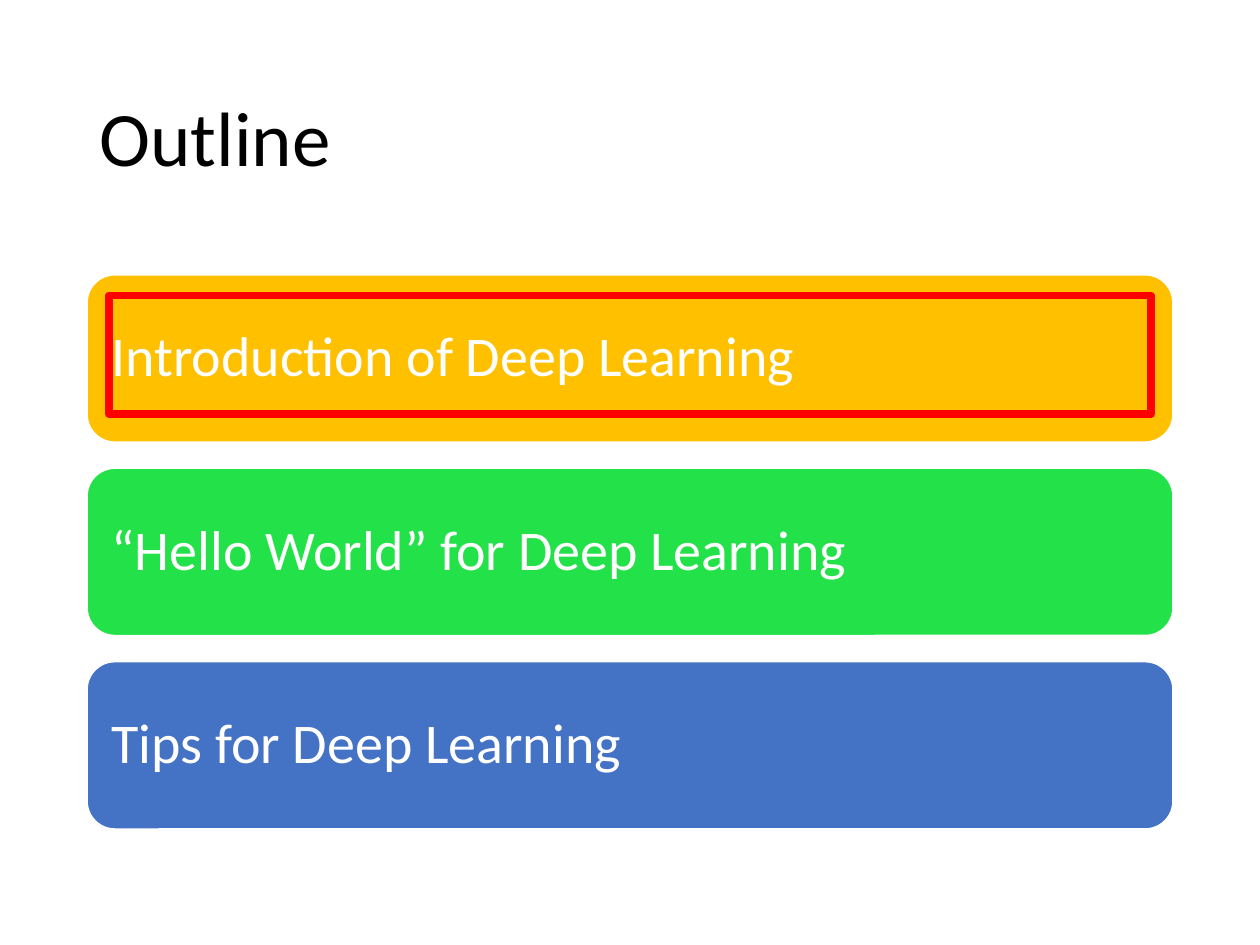
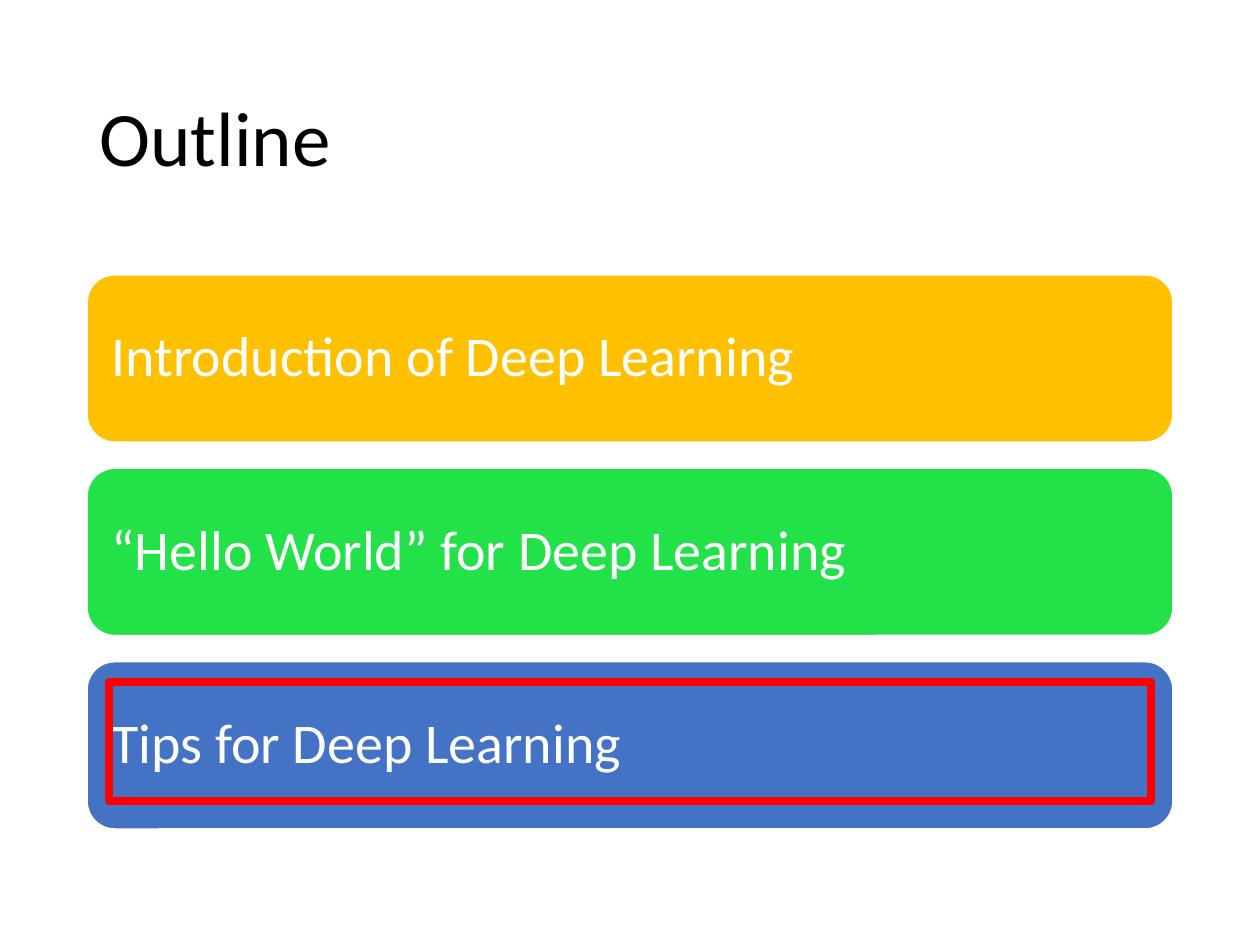
from pptx import Presentation
from pptx.dml.color import RGBColor
from pptx.enum.shapes import MSO_SHAPE
from pptx.enum.text import MSO_ANCHOR, PP_ALIGN
from pptx.util import Inches, Pt

# Shared look
COLOURS = {
    "black": "000000",
    "white": "FFFFFF",
    "amber": "FFC000",
    "green": "23E148",
    "blue": "4472C4",
    "red": "FF0000",
}
FONT = "Calibri"
TOPICS = [
    ("Introduction of Deep Learning", "amber"),
    ("“Hello World” for Deep Learning", "green"),
    ("Tips for Deep Learning", "blue"),
]
HIGHLIGHTED_ROWS = [0, 2]  # one slide for each highlighted topic

deck = Presentation()
deck.slide_width, deck.slide_height = Inches(10), Inches(7.5)

# Grid, in percent of the slide's width and height
LEFT, WIDTH = 6.9, 86.2
TITLE_TOP, TITLE_HEIGHT = 5.33, 19.33
FIRST_ROW, ROW_PITCH, ROW_HEIGHT = 29.07, 20.47, 17.73
FRAME_INSET, FRAME_DROP, FRAME_HEIGHT = 1.75, 2.2, 12.53


def place(left, top, width, height):
    across, down = deck.slide_width / 100, deck.slide_height / 100
    return [round(length) for length in
            (left * across, top * down, width * across, height * down)]


def write(box, text, size, colour, margins):
    frame = box.text_frame
    settings = {"word_wrap": True, "vertical_anchor": MSO_ANCHOR.MIDDLE, **margins}
    for name, value in settings.items():
        setattr(frame, name, value)
    para = frame.paragraphs[0]
    para.alignment, para.line_spacing = PP_ALIGN.LEFT, 0.9
    span = para.add_run()
    span.text = text
    for name, value in {"name": FONT, "size": Pt(size)}.items():
        setattr(span.font, name, value)
    span.font.color.rgb = RGBColor.from_string(COLOURS[colour])


bar_margins = {f"margin_{side}": Inches(0.13)
               for side in ("left", "top", "right", "bottom")}

for highlighted in HIGHLIGHTED_ROWS:
    page = deck.slides.add_slide(deck.slide_layouts[6])

    # Title
    title = page.shapes.add_textbox(*place(LEFT, TITLE_TOP, WIDTH, TITLE_HEIGHT))
    write(title, "Outline", 44, "black", {})

    # Topic bars
    for row, (topic, colour) in enumerate(TOPICS):
        bar = page.shapes.add_shape(
            MSO_SHAPE.ROUNDED_RECTANGLE,
            *place(LEFT, FIRST_ROW + row * ROW_PITCH, WIDTH, ROW_HEIGHT))
        bar.shadow.inherit = False
        bar.fill.solid()
        bar.fill.fore_color.rgb = RGBColor.from_string(COLOURS[colour])
        bar.line.color.rgb = RGBColor.from_string(COLOURS["white"])
        bar.line.width = Pt(1)
        write(bar, topic, 32, "white", bar_margins)

    # Frame around the current topic
    marker = page.shapes.add_shape(
        MSO_SHAPE.RECTANGLE,
        *place(LEFT + FRAME_INSET, FIRST_ROW + highlighted * ROW_PITCH + FRAME_DROP,
               WIDTH - 2 * FRAME_INSET, FRAME_HEIGHT))
    marker.shadow.inherit = False
    marker.fill.background()
    marker.line.color.rgb = RGBColor.from_string(COLOURS["red"])
    marker.line.width = Pt(4.5)

deck.save("out.pptx")
